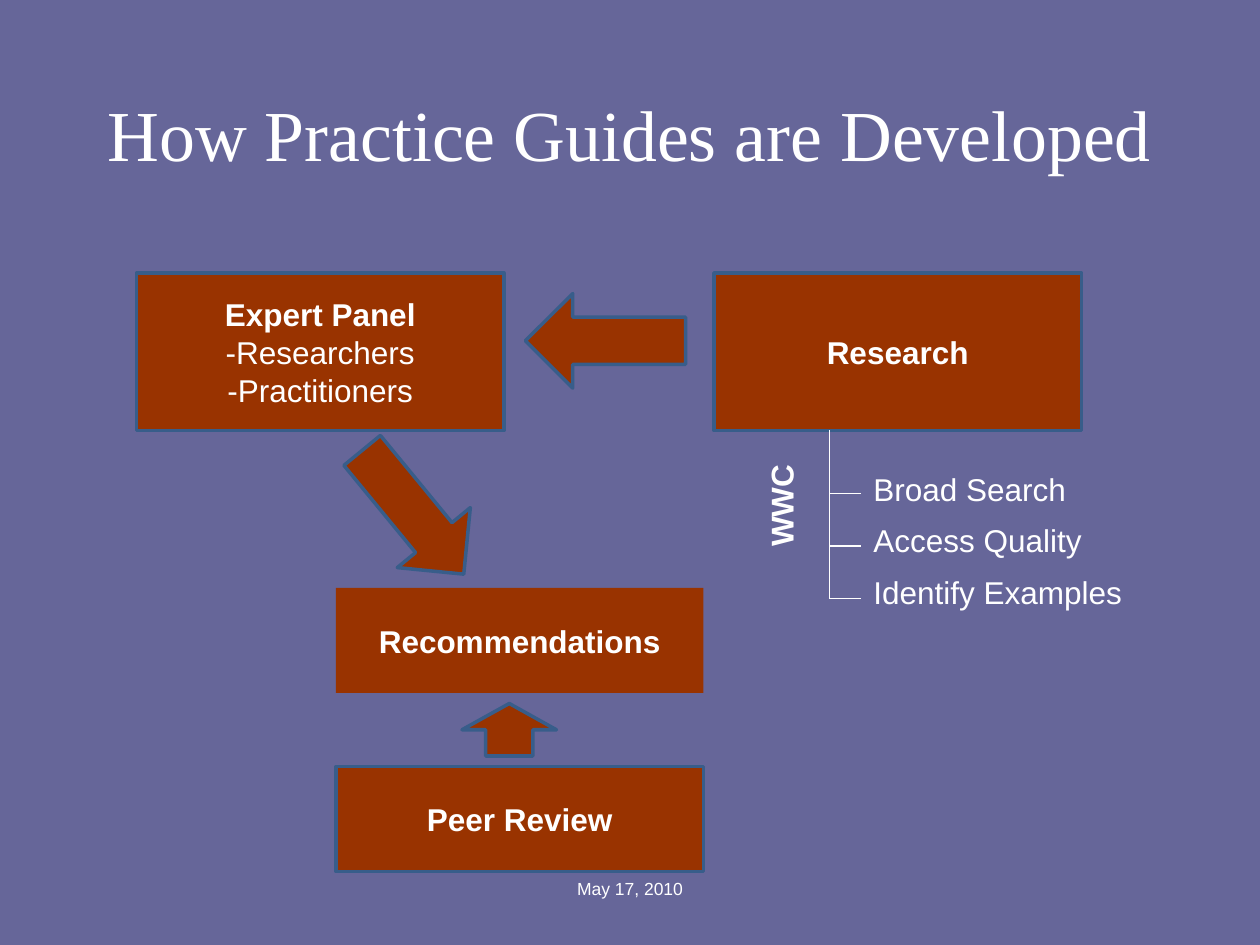
import pptx
import pptx.util
import pptx.dml.color
import pptx.enum.shapes
import pptx.enum.text
import pptx.oxml.ns
import lxml.etree

Pt = pptx.util.Pt
RGBColor = pptx.dml.color.RGBColor
SHAPE = pptx.enum.shapes.MSO_SHAPE
ALIGN = pptx.enum.text.PP_ALIGN
ANCHOR = pptx.enum.text.MSO_ANCHOR

BACKGROUND = RGBColor(0x66, 0x66, 0x99)
RUST = RGBColor(0x99, 0x33, 0x00)
OUTLINE = RGBColor(0x38, 0x5D, 0x8A)
WHITE = RGBColor(0xFF, 0xFF, 0xFF)


def write_line(paragraph, text, size=18, bold=False, font="Arial", align=ALIGN.CENTER):
    paragraph.alignment = align
    run = paragraph.add_run()
    run.text = text
    run.font.name = font
    run.font.size = Pt(size)
    run.font.bold = bold
    run.font.color.rgb = WHITE


def add_block(kind, left, top, width, height, outlined=True):
    shape = slide.shapes.add_shape(kind, Pt(left), Pt(top), Pt(width), Pt(height))
    shape.shadow.inherit = False
    shape.fill.solid()
    shape.fill.fore_color.rgb = RUST
    if outlined:
        shape.line.color.rgb = OUTLINE
        shape.line.width = Pt(2)
    else:
        shape.line.fill.background()
    return shape


presentation = pptx.Presentation()
presentation.slide_width = Pt(720)
presentation.slide_height = Pt(540)
slide = presentation.slides.add_slide(presentation.slide_layouts[6])
slide.background.fill.solid()
slide.background.fill.fore_color.rgb = BACKGROUND

date = slide.shapes.add_textbox(Pt(276), Pt(498), Pt(168), Pt(30))
date.text_frame.word_wrap = True
write_line(date.text_frame.paragraphs[0], "May 17, 2010", 10)

title = slide.shapes.add_textbox(Pt(54), Pt(48), Pt(612), Pt(90))
title.text_frame.word_wrap = True
title.text_frame.margin_left = title.text_frame.margin_right = 0
write_line(title.text_frame.paragraphs[0], "How Practice Guides are Developed", 41, font="Times New Roman")

boxes = [
    (78, 156, 90, True, ["Expert Panel", "-Researchers", "-Practitioners"]),
    (408, 156, 90, True, ["Research"]),
    (192, 336, 60, False, ["Recommendations"]),
    (192, 438, 60, True, ["Peer Review"]),
]
for left, top, height, outlined, lines in boxes:
    box = add_block(SHAPE.RECTANGLE, left, top, 210, height, outlined)
    frame = box.text_frame
    frame.word_wrap = True
    frame.vertical_anchor = ANCHOR.MIDDLE
    for index, text in enumerate(lines):
        paragraph = frame.add_paragraph() if index else frame.paragraphs[0]
        write_line(paragraph, text, bold=index == 0)

arrows = [
    (319, 149, 91.5, 90),
    (209, 247, 91.5, 320.6),
    (264, 402, 30, 180),
]
for left, top, height, rotation in arrows:
    arrow = add_block(SHAPE.DOWN_ARROW, left, top, 54, height)
    arrow.rotation = rotation

labels = [
    ("Broad Search", 492, 265, 124.5, 0),
    ("Access Quality", 492, 294, 133, 0),
    ("Identify Examples", 492, 324, 156, 0),
    ("WWC", 416, 274.5, 61, 270),
]
for text, left, top, width, rotation in labels:
    label = slide.shapes.add_textbox(Pt(left), Pt(top), Pt(width), Pt(29))
    label.rotation = rotation
    label.text_frame.word_wrap = True
    label.text_frame.margin_right = 0
    write_line(label.text_frame.paragraphs[0], text, bold=rotation != 0, align=ALIGN.LEFT)

trunk = [(474, 246, 474, 342)]
branches = [(474, y, 492, y) for y in (282, 312, 342)]
for start_x, start_y, end_x, end_y in trunk + branches:
    connector = slide.shapes.add_connector(
        pptx.enum.shapes.MSO_CONNECTOR.STRAIGHT, Pt(start_x), Pt(start_y), Pt(end_x), Pt(end_y)
    )
    connector.line.color.rgb = WHITE
    connector.line.width = Pt(0.75)
    lxml.etree.SubElement(connector._element.spPr, pptx.oxml.ns.qn("a:effectLst"))

presentation.save("out.pptx")
